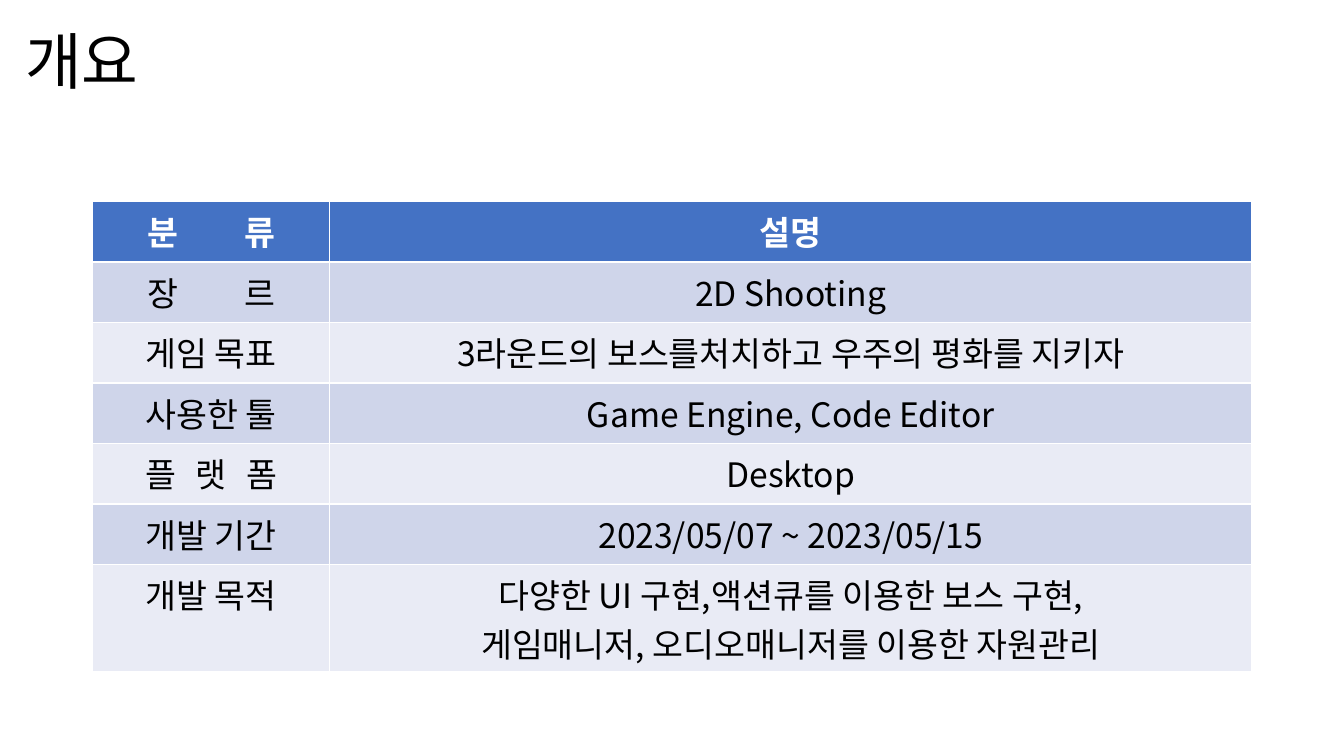
from dataclasses import dataclass

from lxml.etree import SubElement
from pptx import Presentation
from pptx.dml.color import RGBColor as RGB
from pptx.enum.text import MSO_ANCHOR as Anchor, PP_ALIGN as Align
from pptx.oxml.ns import qn
from pptx.util import Pt


@dataclass(frozen=True)
class Theme:
    font: str = "Noto Sans CJK KR"
    title_size: int = 44
    cell_size: int = 24
    text: str = "000000"
    header_text: str = "FFFFFF"
    header_fill: str = "4472C4"
    bands: tuple = ("E9EBF5", "CFD5EA")


THEME = Theme()
TITLE_BOX = (10.8, 10.8, 828, 70.56)
TABLE_BOX = (66.24, 144, 828, 334.08)
LABEL_WIDTH = 169.2
ROW_HEIGHT = 43.2

# Label, points between its letters, description lines
ROWS = [
    ("분류", 47, ["설명"]),
    ("장르", 47, ["2D Shooting"]),
    ("게임 목표", 0, ["3라운드의 보스를처치하고 우주의 평화를 지키자"]),
    ("사용한 툴", 0, ["Game Engine, Code Editor"]),
    ("플랫폼", 14, ["Desktop"]),
    ("개발 기간", 0, ["2023/05/07 ~ 2023/05/15"]),
    ("개발 목적", 0, ["다양한 UI 구현,액션큐를 이용한 보스 구현,",
                  "게임매니저, 오디오매니저를 이용한 자원관리"]),
]


def add_run(p, text, size, color, bold=False, gap=0):
    """Add a run; gap is the extra space in points after each letter."""
    r = p.add_run()
    r.text = text
    for name, value in {"size": Pt(size), "bold": bold, "name": THEME.font}.items():
        setattr(r.font, name, value)
    r.font.color.rgb = RGB.from_string(color)
    rPr = r._r.get_or_add_rPr()
    SubElement(rPr, qn("a:ea"), typeface=THEME.font)
    if gap:
        rPr.set("spc", str(gap * 100))


def fill_cell(cell, lines, fill, color, bold, gap=0):
    cell.fill.solid()
    cell.fill.fore_color.rgb = RGB.from_string(fill)
    tf = cell.text_frame
    for i, line in enumerate(lines):
        p = tf.paragraphs[0] if i == 0 else tf.add_paragraph()
        p.alignment = Align.CENTER
        # The last letter takes no gap, so the label stays centred
        parts = [(line[:-1], gap), (line[-1], 0)] if gap else [(line, 0)]
        for text, spacing in parts:
            add_run(p, text, THEME.cell_size, color, bold, spacing)


def place_title(s, box, text):
    title = s.shapes.title
    for name, value in zip(("left", "top", "width", "height"), box):
        setattr(title, name, Pt(value))
    tf = title.text_frame
    tf.vertical_anchor = Anchor.MIDDLE
    p = tf.paragraphs[0]
    for name, value in {"alignment": Align.LEFT, "line_spacing": 0.9}.items():
        setattr(p, name, value)
    add_run(p, text, THEME.title_size, THEME.text)


def add_overview_table(s, box, rows):
    """Equal rows, with the last one taking the height that remains."""
    width, height = box[2:]
    table = s.shapes.add_table(len(rows), 2, *map(Pt, box)).table
    for column, w in zip(table.columns, (LABEL_WIDTH, width - LABEL_WIDTH)):
        column.width = Pt(w)
    for i, (label, gap, lines) in enumerate(rows):
        last = i == len(rows) - 1
        table.rows[i].height = Pt(height - ROW_HEIGHT * i if last else ROW_HEIGHT)
        header = i == 0
        fill = THEME.header_fill if header else THEME.bands[i % 2]
        color = THEME.header_text if header else THEME.text
        fill_cell(table.cell(i, 0), [label], fill, color, header, gap)
        fill_cell(table.cell(i, 1), lines, fill, color, header)


def main():
    prs = Presentation()
    prs.slide_width, prs.slide_height = Pt(960), Pt(540)
    s = prs.slides.add_slide(prs.slide_layouts.get_by_name("Title Only"))
    place_title(s, TITLE_BOX, "개요")
    add_overview_table(s, TABLE_BOX, ROWS)
    prs.save("out.pptx")


if __name__ == "__main__":
    main()
